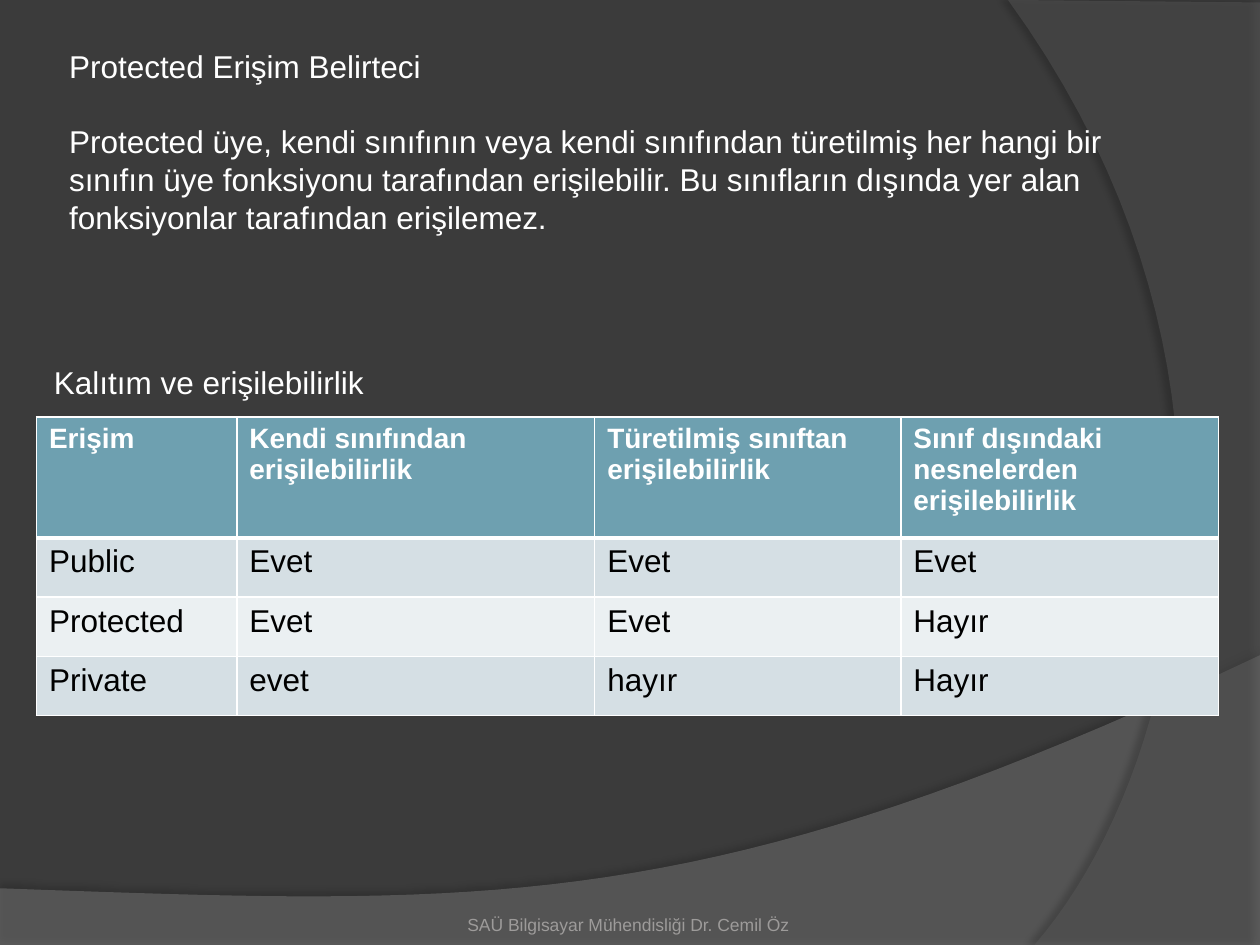
"""Build the slide on the protected access specifier and inheritance access."""
import lxml.etree
import pptx
import pptx.dml.color
import pptx.enum.text
import pptx.oxml.ns
import pptx.util

RGBColor = pptx.dml.color.RGBColor
BACKGROUND = RGBColor(0x3B, 0x3B, 0x3B)
LOWER_SWOOSH = RGBColor(0x7F, 0x7F, 0x7F)
RIGHT_SWOOSH = RGBColor(0x5E, 0x5E, 0x5E)
WHITE = RGBColor(0xFF, 0xFF, 0xFF)
BLACK = RGBColor(0x00, 0x00, 0x00)
FOOTER_GRAY = RGBColor(0x9D, 0x9B, 0x9A)
HEADER_FILL = RGBColor(0x6E, 0xA0, 0xB0)
BAND_FILLS = [RGBColor(0xD5, 0xDF, 0xE4), RGBColor(0xEB, 0xF0, 0xF2)]

presentation = pptx.Presentation()
presentation.slide_width = pptx.util.Inches(10)
presentation.slide_height = pptx.util.Inches(7.5)
column = presentation.slide_width / 100
row = presentation.slide_height / 75
slide = presentation.slides.add_slide(presentation.slide_layouts[6])
slide.background.fill.solid()
slide.background.fill.fore_color.rgb = BACKGROUND


def place(left, top, width, height):
    return int(left * column), int(top * row), int(width * column), int(height * row)


def add_text(paragraph, text, size, color, bold=False):
    run = paragraph.add_run()
    run.text = text
    run.font.name = "Arial"
    run.font.size = pptx.util.Pt(size)
    run.font.bold = bold
    run.font.color.rgb = color


swooshes = [
    ([(0, 70.5), (0, 75.1), (100, 75.1)],
     [(100, 52), (55.9, 72.9), (39.1, 71.9), (0, 70.5)],
     LOWER_SWOOSH, 45, 35, 3.5, 270),
    ([(100, 0.2), (100, 75)],
     [(82.1, 75), (93.5, 61.9), (101.8, 30), (80, 0)],
     RIGHT_SWOOSH, 40, 45, 4, 180),
]
steps = 40
for corners, curve, color, opacity, shadow_opacity, distance, direction in swooshes:
    points = list(corners)
    for step in range(steps + 1):
        t = step / steps
        weights = [(1 - t) ** 3, 3 * t * (1 - t) ** 2, 3 * t ** 2 * (1 - t), t ** 3]
        points.append(tuple(sum(weight * point[axis] for weight, point in zip(weights, curve))
                            for axis in (0, 1)))
    points = [(int(x * column), int(y * row)) for x, y in points]
    builder = slide.shapes.build_freeform(*points[0])
    builder.add_line_segments(points[1:], close=True)
    shape = builder.convert_to_shape()
    shape.shadow.inherit = False
    shape.line.fill.background()
    shape.fill.solid()
    shape.fill.fore_color.rgb = color
    properties = shape._element.spPr
    fill_color = properties.find(".//" + pptx.oxml.ns.qn("a:srgbClr"))
    lxml.etree.SubElement(fill_color, pptx.oxml.ns.qn("a:alpha"), val=str(opacity * 1000))
    effects = properties.find(pptx.oxml.ns.qn("a:effectLst"))
    shadow = lxml.etree.SubElement(
        effects, pptx.oxml.ns.qn("a:outerShdw"), blurRad=str(pptx.util.Pt(4)),
        dist=str(pptx.util.Pt(distance)), dir=str(direction * 60000), rotWithShape="0")
    shadow_color = lxml.etree.SubElement(shadow, pptx.oxml.ns.qn("a:srgbClr"), val=str(BLACK))
    lxml.etree.SubElement(shadow_color, pptx.oxml.ns.qn("a:alpha"), val=str(shadow_opacity * 1000))

footer = slide.shapes.add_textbox(*place(34.2, 70.2, 31.7, 4)).text_frame
footer.word_wrap = True
footer.vertical_anchor = pptx.enum.text.MSO_ANCHOR.BOTTOM
footer.margin_left = footer.margin_right = footer.margin_bottom = 0
footer.paragraphs[0].alignment = pptx.enum.text.PP_ALIGN.CENTER
add_text(footer.paragraphs[0], "SAÜ Bilgisayar Mühendisliği Dr. Cemil Öz ", 10, FOOTER_GRAY)

body = slide.shapes.add_textbox(*place(4.5, 3.2, 91.4, 22.2)).text_frame
body.word_wrap = True
add_text(body.paragraphs[0], "Protected Erişim Belirteci", 18, WHITE)
explanation = body.add_paragraph()
explanation.space_before = pptx.util.Pt(21.5)
add_text(explanation,
         "Protected üye, kendi sınıfının veya kendi sınıfından türetilmiş her hangi bir "
         "sınıfın üye fonksiyonu tarafından erişilebilir. Bu sınıfların dışında yer alan "
         "fonksiyonlar tarafından erişilemez.", 18, WHITE)

access_rows = [
    ["Erişim", "Kendi sınıfından erişilebilirlik", "Türetilmiş sınıftan erişilebilirlik",
     "Sınıf dışındaki nesnelerden erişilebilirlik"],
    ["Public", "Evet", "Evet", "Evet"],
    ["Protected", "Evet", "Evet", "Hayır"],
    ["Private", "evet", "hayır", "Hayır"],
]
column_widths = [15.9, 28.4, 24.3, 25.2]
row_heights = [9.6, 4.7, 4.7, 4.7]
table = slide.shapes.add_table(
    len(row_heights), len(column_widths),
    *place(2.9, 33.1, sum(column_widths), sum(row_heights))).table
for table_column, width in zip(table.columns, column_widths):
    table_column.width = int(width * column)
for row_index, (height, texts) in enumerate(zip(row_heights, access_rows)):
    table.rows[row_index].height = int(height * row)
    header = row_index == 0
    for column_index, text in enumerate(texts):
        cell = table.cell(row_index, column_index)
        add_text(cell.text_frame.paragraphs[0], text, 16 if header else 18,
                 WHITE if header else BLACK, header)
        for side in "LRTB":
            thick = (row_index, side) in [(0, "B"), (1, "T")]
            border = lxml.etree.SubElement(
                cell._tc.get_or_add_tcPr(), pptx.oxml.ns.qn("a:ln" + side),
                w=str(pptx.util.Pt(3 if thick else 1)))
            border_fill = lxml.etree.SubElement(border, pptx.oxml.ns.qn("a:solidFill"))
            lxml.etree.SubElement(border_fill, pptx.oxml.ns.qn("a:srgbClr"), val=str(WHITE))
        cell.fill.solid()
        cell.fill.fore_color.rgb = HEADER_FILL if header else BAND_FILLS[(row_index - 1) % 2]

caption = slide.shapes.add_textbox(*place(3.3, 28.3, 43.5, 7.1)).text_frame
caption.word_wrap = True
add_text(caption.paragraphs[0], "Kalıtım ve erişilebilirlik", 18, WHITE)

presentation.save("out.pptx")
